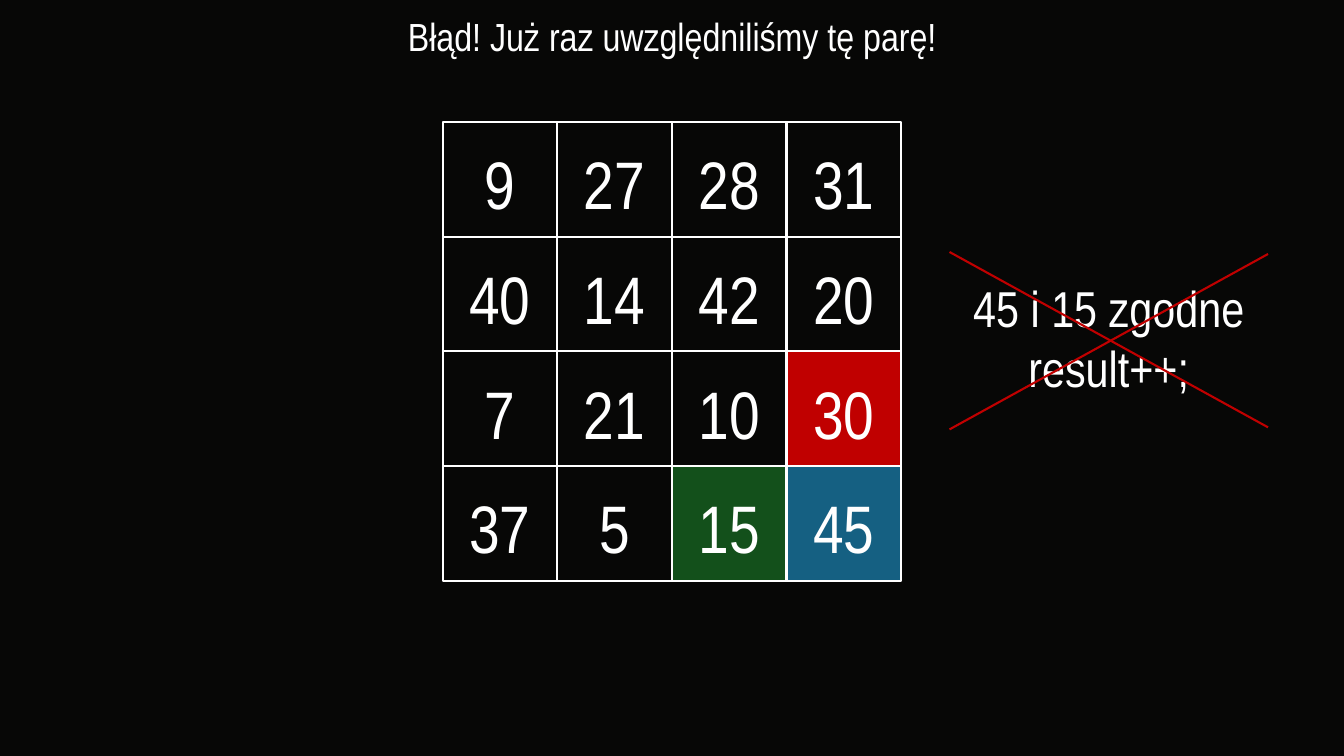
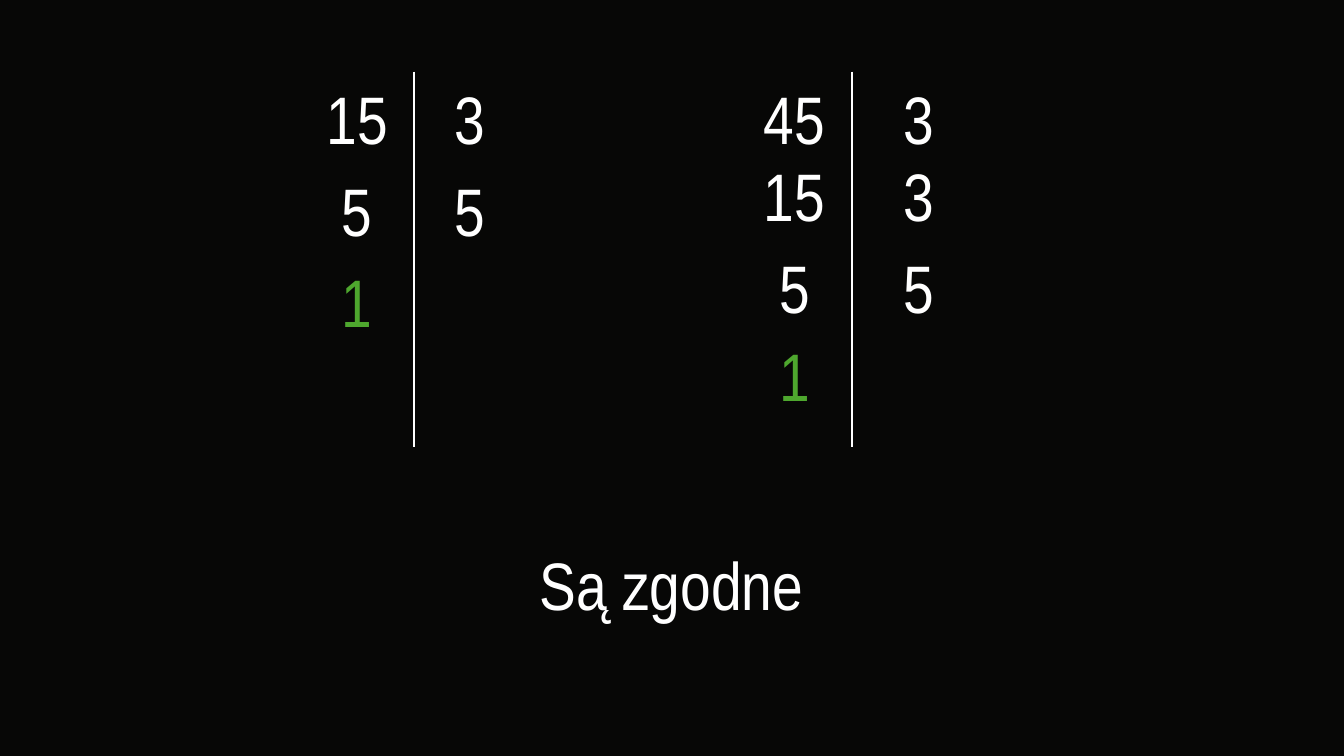
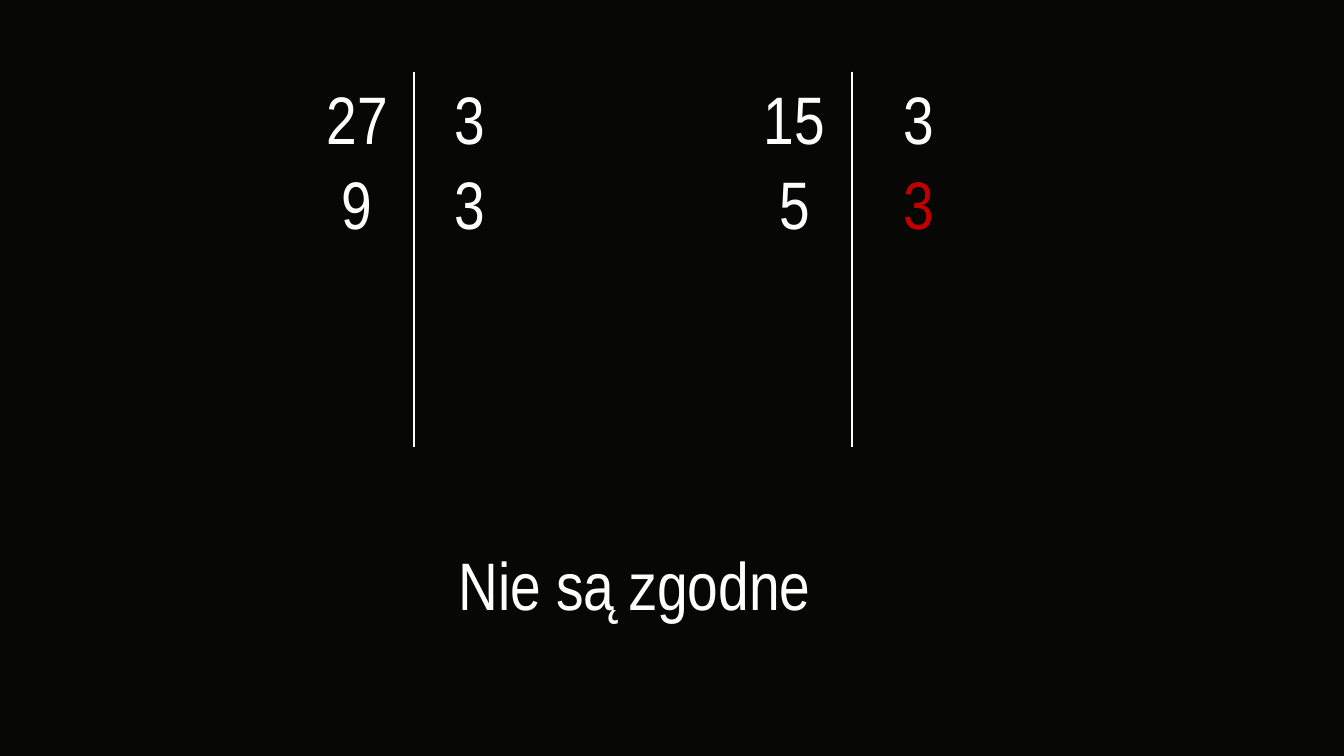
from lxml.etree import SubElement
from pptx import Presentation
from pptx.dml.color import RGBColor
from pptx.enum.shapes import MSO_CONNECTOR, MSO_SHAPE
from pptx.enum.text import MSO_ANCHOR, MSO_AUTO_SIZE, PP_ALIGN
from pptx.oxml.ns import qn
from pptx.util import Inches, Pt

WIDTH, HEIGHT = Inches(13.333), Inches(7.5)
FONT = "Arial Narrow"
BLACK, WHITE, RED = "070706", "FFFFFF", "C00000"
DARK_GREEN, BLUE, GREEN = "13501B", "156082", "4EA72E"
LINE = Pt(1.5)

CELL_W, CELL_H = 8.53, 15.17
GRID_X, GRID_Y = 32.93, 16.13
TEXT_H = 12.13
BAR_TOP, BAR_BOTTOM = 9.47, 59.07

NUMBERS = [
    [9, 27, 28, 31],
    [40, 14, 42, 20],
    [7, 21, 10, 30],
    [37, 5, 15, 45],
]
MARKED = {30: RED, 15: DARK_GREEN, 45: BLUE}


def rgb(color):
    return RGBColor.from_string(color)


def across(share):
    return round(WIDTH * share / 100)


def down(share):
    return round(HEIGHT * share / 100)


def box(x, y, w, h):
    return across(x), down(y), across(w), down(h)


def write(tf, text, size=48, color=WHITE, anchor=MSO_ANCHOR.MIDDLE):
    tf.text = text
    tf.word_wrap = True
    tf.auto_size = MSO_AUTO_SIZE.NONE
    tf.vertical_anchor = anchor
    for p in tf.paragraphs:
        p.alignment = PP_ALIGN.CENTER
        for r in p.runs:
            r.font.name = FONT
            r.font.size = Pt(size)
            r.font.color.rgb = rgb(color)


def add_slide(prs, title, place, size=48, anchor=MSO_ANCHOR.MIDDLE):
    s = prs.slides.add_slide(prs.slide_layouts[5])
    sp = s.shapes.title
    sp.left, sp.top, sp.width, sp.height = box(*place)
    write(sp.text_frame, title, size, anchor=anchor)
    return s


def add_text(s, text, place, **style):
    sp = s.shapes.add_textbox(*box(*place))
    write(sp.text_frame, text, **style)


def add_line(s, x1, y1, x2, y2, color=WHITE):
    c = s.shapes.add_connector(
        MSO_CONNECTOR.STRAIGHT, across(x1), down(y1), across(x2), down(y2))
    c.line.color.rgb = rgb(color)
    c.line.width = LINE
    SubElement(c._element.spPr, qn("a:effectLst"))


def add_cell(s, col, row, number):
    place = box(GRID_X + col * CELL_W, GRID_Y + row * CELL_H, CELL_W, CELL_H)
    sp = s.shapes.add_shape(MSO_SHAPE.RECTANGLE, *place)
    sp.shadow.inherit = False
    sp.line.color.rgb = rgb(WHITE)
    sp.line.width = LINE
    if number in MARKED:
        sp.fill.solid()
        sp.fill.fore_color.rgb = rgb(MARKED[number])
    else:
        sp.fill.background()
    write(sp.text_frame, str(number))
    sp.text_frame.margin_top = Inches(0.12)


def add_division(s, bar, gap, rows):
    add_line(s, bar, BAR_TOP, bar, BAR_BOTTOM)
    for y, quotient, divisor, *color in rows:
        right_color = color[0] if color else WHITE
        left_color = WHITE if divisor else GREEN
        add_text(s, quotient, (bar - CELL_W, y, CELL_W, TEXT_H), color=left_color)
        if divisor:
            add_text(s, divisor, (bar + gap, y, CELL_W, TEXT_H), color=right_color)


def add_grid_slide(prs):
    s = add_slide(prs, "Błąd! Już raz uwzględniliśmy tę parę!",
                  (0, 0.93, 100, 7.6), 28, MSO_ANCHOR.TOP)
    for row, numbers in enumerate(NUMBERS):
        for col, number in enumerate(numbers):
            add_cell(s, col, row, number)
    add_text(s, "45 i 15 zgodne\nresult++;", (70.65, 36, 23.7, 17.47),
             size=36, anchor=MSO_ANCHOR.TOP)
    add_line(s, 70.65, 33.33, 94.35, 56.53, RED)
    add_line(s, 70.65, 56.8, 94.35, 33.6, RED)


def add_division_slide(prs, verdict, x, w, left_rows, right_rows):
    s = add_slide(prs, verdict, (x, 71.2, w, TEXT_H))
    add_division(s, 30.83, -0.15, left_rows)
    add_division(s, 63.38, 0.75, right_rows)


def main():
    prs = Presentation()
    prs.slide_width, prs.slide_height = WIDTH, HEIGHT
    fill = prs.slide_master.background.fill
    fill.solid()
    fill.fore_color.rgb = rgb(BLACK)

    add_grid_slide(prs)
    add_division_slide(
        prs, "Są zgodne", 37.2, 25.5,
        [(BAR_TOP, "15", "3"), (21.6, "5", "5"), (33.73, "1", "")],
        [(BAR_TOP, "45", "3"), (19.73, "15", "3"),
         (31.87, "5", "5"), (43.47, "1", "")])
    add_division_slide(
        prs, "Nie są zgodne", 32.7, 29.03,
        [(BAR_TOP, "27", "3"), (20.67, "9", "3")],
        [(BAR_TOP, "15", "3"), (20.67, "5", "3", RED)])
    prs.save("out.pptx")


if __name__ == "__main__":
    main()
